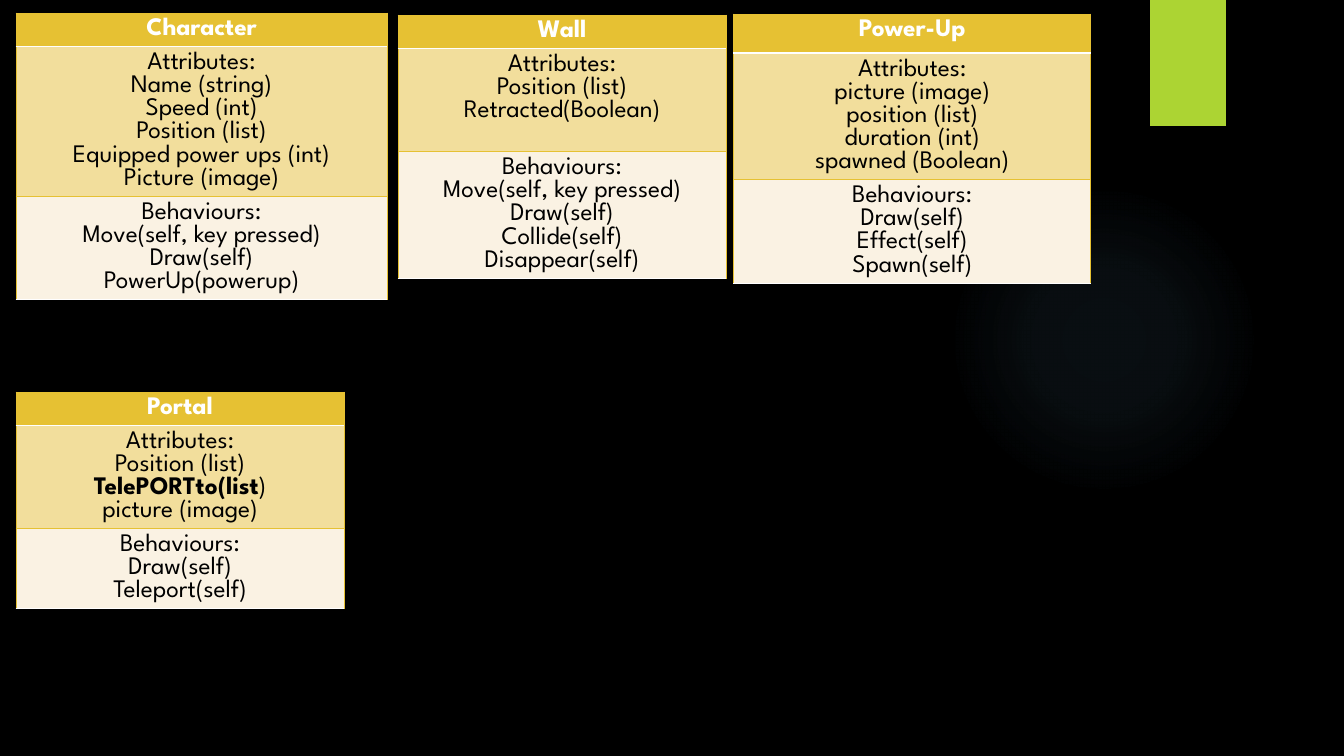
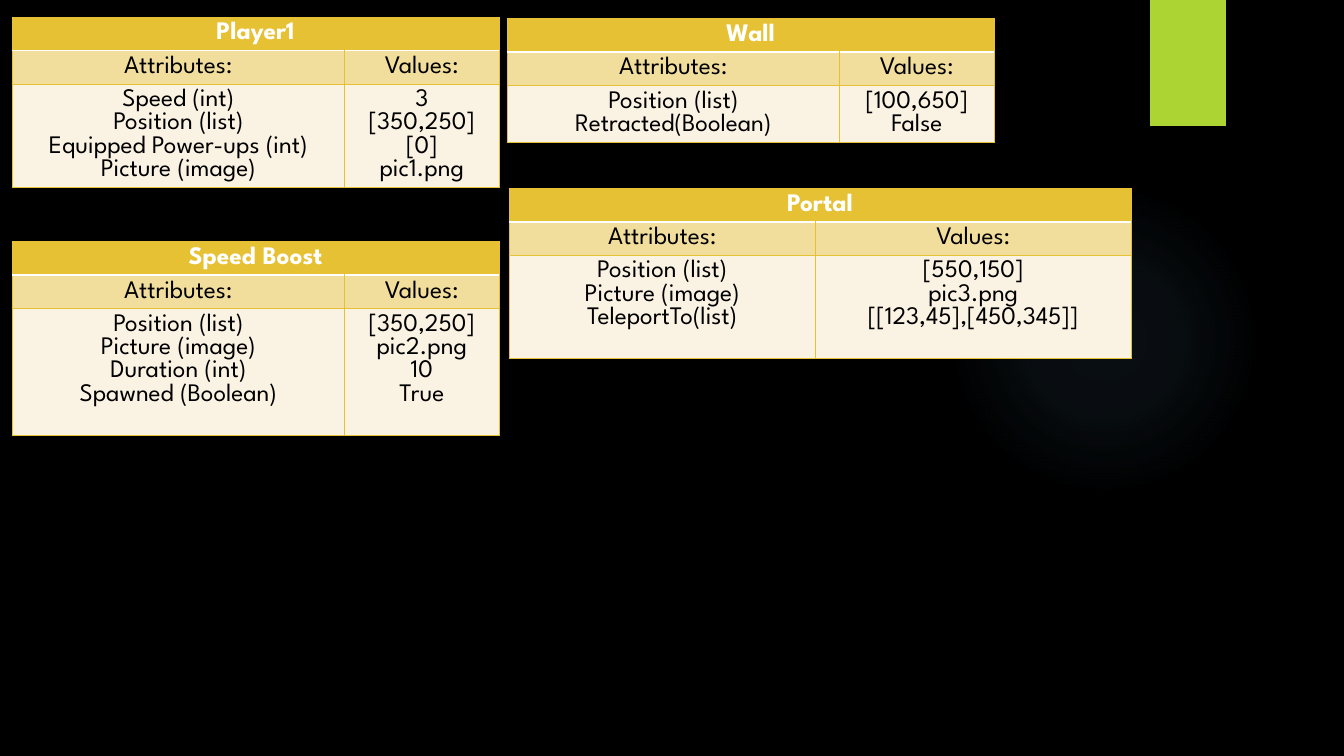
import pptx
import pptx.util
import pptx.dml.color
import pptx.enum.shapes
import pptx.enum.text
import pptx.oxml
import pptx.oxml.ns

COLOURS = {
    "night": "000000",
    "glow": "7AC4F0",
    "lime": "ACD433",
    "gold": "E6C133",
    "sand": "F2DE9C",
    "cream": "FAF2E3",
    "white": "FFFFFF",
    "ink": "000000",
}
NAMESPACE = pptx.oxml.ns.nsdecls("a")


class Diagram:
    font = "League Spartan"
    size = 18
    line_share = 3.08
    padding_share = 1.34

    def __init__(self):
        self.deck = pptx.Presentation()
        self.deck.slide_width = pptx.util.Inches(13.33)
        self.deck.slide_height = pptx.util.Inches(7.5)
        self.paint(self.deck.slide_master.background.fill, "night")
        self.page = None

    def across(self, share):
        return round(self.deck.slide_width * share / 100)

    def down(self, share):
        return round(self.deck.slide_height * share / 100)

    def paint(self, fill, colour):
        fill.solid()
        fill.fore_color.rgb = pptx.dml.color.RGBColor.from_string(COLOURS[colour])

    def start_page(self):
        self.page = self.deck.slides.add_slide(self.deck.slide_layouts[6])
        kinds = pptx.enum.shapes.MSO_SHAPE
        orb = self.shape(kinds.OVAL, 70.58, 24.4, 23.1, 41.07)
        self.glow(orb)
        band = self.shape(kinds.RECTANGLE, 85.58, 0, 5.63, 16.67)
        self.paint(band.fill, "lime")

    def shape(self, kind, left, top, width, height):
        shape = self.page.shapes.add_shape(
            kind, self.across(left), self.down(top), self.across(width), self.down(height))
        shape.shadow.inherit = False
        shape.line.fill.background()
        return shape

    def glow(self, shape):
        stops = "".join(
            f'<a:gs pos="{place * 1000}"><a:srgbClr val="{COLOURS["glow"]}">'
            f'<a:alpha val="{alpha * 1000}"/></a:srgbClr></a:gs>'
            for place, alpha in ((0, 7), (36, 6), (69, 0), (100, 0)))
        gradient = pptx.oxml.parse_xml(
            f'<a:gradFill {NAMESPACE} rotWithShape="1"><a:gsLst>{stops}</a:gsLst>'
            '<a:path path="circle"><a:fillToRect l="50000" t="50000" r="50000" b="50000"/>'
            '</a:path></a:gradFill>')
        properties = shape._element.spPr
        properties.insert(list(properties).index(properties.prstGeom) + 1, gradient)

    def border(self, cell, side, colour, width):
        cell._tc.get_or_add_tcPr().append(pptx.oxml.parse_xml(
            f'<a:ln{side} {NAMESPACE} w="{round(width * 12700)}"><a:solidFill>'
            f'<a:srgbClr val="{COLOURS[colour]}"/></a:solidFill></a:ln{side}>'))

    def cell_text(self, cell, lines, colour, bold):
        frame = cell.text_frame
        for index, line in enumerate(lines):
            para = frame.paragraphs[0] if index == 0 else frame.add_paragraph()
            para.alignment = pptx.enum.text.PP_ALIGN.CENTER
            spans = [(line, bold)] if isinstance(line, str) else line
            for text, heavy in spans:
                span = para.add_run()
                span.text = text
                span.font.name = self.font
                span.font.size = pptx.util.Pt(self.size)
                span.font.bold = heavy
                span.font.color.rgb = pptx.dml.color.RGBColor.from_string(COLOURS[colour])

    def table(self, left, top, widths, title, rows, line_counts, closing):
        heights = [self.down(self.padding_share + self.line_share * count)
                   for count in line_counts]
        columns = [self.across(width) for width in widths]
        table = self.page.shapes.add_table(
            len(heights), len(columns), self.across(left), self.down(top),
            sum(columns), sum(heights)).table
        for column, width in zip(table.columns, columns):
            column.width = width
        for row, height in zip(table.rows, heights):
            row.height = height
        header = [[title]] + [[]] * (len(columns) - 1)
        fills = ("gold", "sand", "cream")
        top_edges = (("gold", 0.75), ("white", 1.5), ("gold", 0.75))
        bottom_edges = (("white", 1.5), ("gold", 0.75), closing)
        for index, contents in enumerate([header] + rows):
            for cell, lines in zip(table.rows[index].cells, contents):
                self.border(cell, "L", "gold", 0.75)
                self.border(cell, "R", "gold", 0.75)
                self.border(cell, "T", *top_edges[index])
                self.border(cell, "B", *bottom_edges[index])
                self.paint(cell.fill, fills[index])
                self.cell_text(cell, lines, "ink" if index else "white", index == 0)
        if len(columns) > 1:
            table.cell(0, 0).merge(table.cell(0, len(columns) - 1))

    def class_card(self, left, top, width, title, attributes, behaviours, line_counts):
        rows = [[["Attributes:"] + attributes], [["Behaviours:"] + behaviours]]
        self.table(left, top, [width], title, rows, line_counts, ("white", 1))

    def object_card(self, left, top, widths, title, values, body_lines):
        rows = [[["Attributes:"], ["Values:"]],
                [list(values.keys()), list(values.values())]]
        self.table(left, top, widths, title, rows, (1, 1, body_lines), ("gold", 0.75))


diagram = Diagram()

diagram.start_page()
diagram.class_card(
    1.2, 1.73, 27.6, "Character",
    ["Name (string)", "Speed (int)", "Position (list)",
     "Equipped power ups (int)", "Picture (image)"],
    ["Move(self, key pressed)", "Draw(self)", "PowerUp(powerup)"], (1, 6, 4))
diagram.class_card(
    29.62, 2, 24.4, "Wall",
    ["Position (list)", "Retracted(Boolean)"],
    ["Move(self, key pressed)", "Draw(self)", "Collide(self)", "Disappear(self)"], (1, 4, 5))
diagram.class_card(
    54.6, 1.87, 26.55, "Power-Up",
    ["picture (image)", "position (list)", "duration (int)", "spawned (Boolean)"],
    ["Draw(self)", "Effect(self)", "Spawn(self)"], (1.25, 5, 4))
diagram.class_card(
    1.2, 51.87, 24.4, "Portal",
    ["Position (list)", [("TelePORTto(list", True), (")", False)], "picture (image)"],
    ["Draw(self)", "Teleport(self)"], (1, 4, 3))

diagram.start_page()
narrow = (24.75, 11.48)
diagram.object_card(
    0.9, 32, narrow, "Speed Boost",
    {"Position (list)": "[350,250]", "Picture (image)": "pic2.png",
     "Duration (int)": "10", "Spawned (Boolean)": "True"}, 5)
diagram.object_card(
    0.9, 2.27, narrow, "Player1",
    {"Speed (int)": "3", "Position (list)": "[350,250]",
     "Equipped Power-ups (int)": "[0]", "Picture (image)": "pic1.png"}, 4)
diagram.object_card(
    37.73, 2.47, narrow, "Wall",
    {"Position (list)": "[100,650]", "Retracted(Boolean)": "False"}, 2)
diagram.object_card(
    37.88, 24.93, (22.8, 23.48), "Portal",
    {"Position (list)": "[550,150]", "Picture (image)": "pic3.png",
     "TeleportTo(list)": "[[123,45],[450,345]]"}, 4)

diagram.deck.save("out.pptx")
